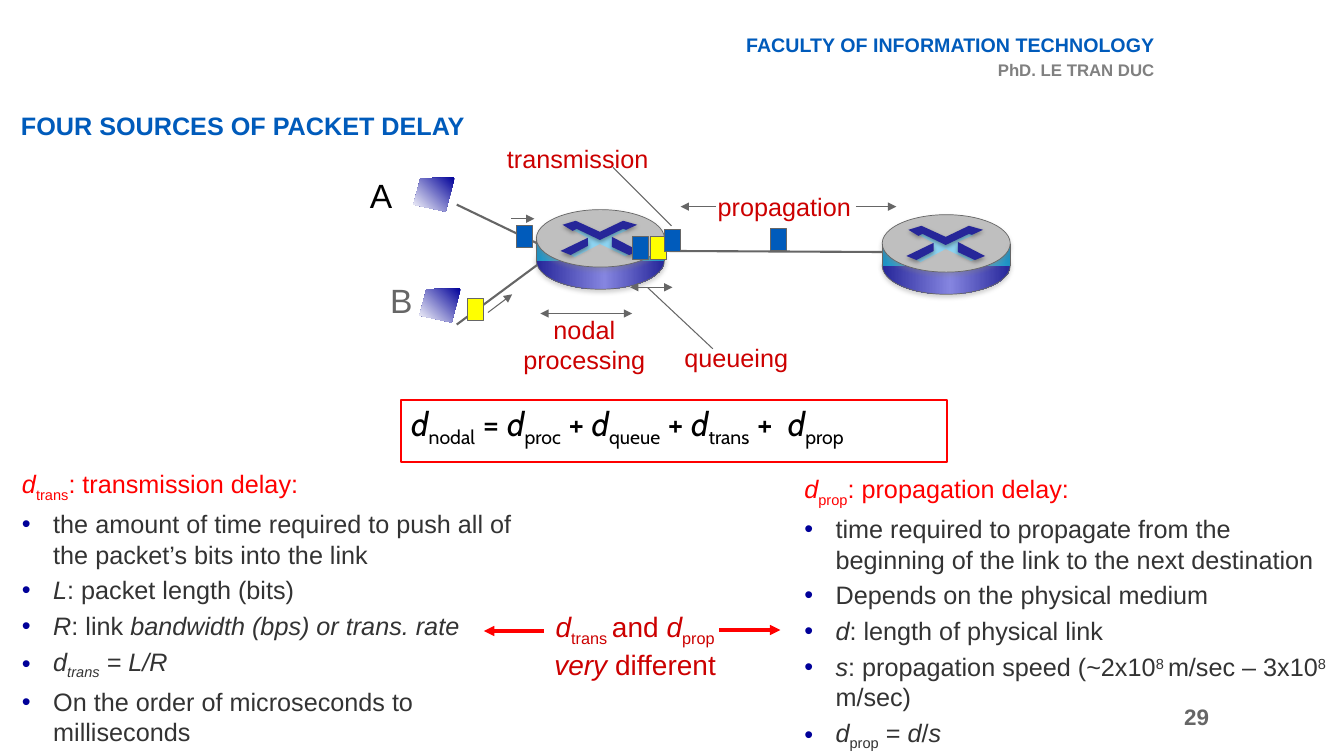
from dataclasses import dataclass

from lxml.etree import SubElement
from pptx import Presentation
from pptx.dml.color import RGBColor
from pptx.enum.shapes import MSO_CONNECTOR, MSO_SHAPE as Shape
from pptx.enum.text import MSO_ANCHOR as Anchor, MSO_AUTO_SIZE as Auto, PP_ALIGN as Align
from pptx.oxml.ns import qn
from pptx.util import Pt

PX = 9144  # EMU in one px: 100 px to the inch


@dataclass(frozen=True)
class Theme:
    font: str = "Arial"
    formula_font: str = "Cabin"
    blue: str = "005BBB"
    grey: str = "666666"
    subtitle: str = "808080"
    black: str = "000000"
    text: str = "333333"
    caption: str = "CC0000"
    red: str = "FF0000"
    yellow: str = "FFFF00"
    bullet: str = "000099"
    white: str = "FFFFFF"
    top: str = "BFBFBF"
    navy: str = "262699"
    lilac: str = "8585E0"
    teal: str = "1A92C4"
    sky: str = "8DD3F0"
    small: int = 12
    header: int = 14
    number: int = 16
    body: int = 18
    compare: int = 20
    large: int = 24


T = Theme()


@dataclass(frozen=True)
class Run:
    text: str
    italic: bool = False
    base: int = 0


@dataclass(frozen=True)
class Label:
    text: str
    box: tuple[int, int, int, int]
    color: str = T.caption
    size: int = T.body
    align: Align = Align.LEFT
    bold: bool = False
    wrap: bool = False


@dataclass(frozen=True)
class Line:
    ends: tuple[int, int, int, int]
    width: float = 0.75
    color: str = T.grey
    head: bool = False
    tail: bool = False


@dataclass(frozen=True)
class Column:
    box: tuple[int, int, int, int]
    heading: list[Run]
    items: list[list[Run]]


def it(text: str) -> Run:
    return Run(text, italic=True)


def sub(text: str, italic: bool = False) -> Run:
    return Run(text, italic, -25)


def sup(text: str) -> Run:
    return Run(text, base=30)


def emu(box: tuple) -> list[int]:
    return [v * PX for v in box]


def style(r, size: int, color: str, font: str = T.font) -> None:
    r.font.name, r.font.size = font, Pt(size)
    r.font.color.rgb = RGBColor.from_string(color)


def write(p, runs: list[Run], size: int, color: str, font: str = T.font) -> None:
    for run in runs:
        r = p.add_run()
        r.text = run.text
        style(r, size, color, font)
        r.font.italic = run.italic
        if run.base:
            r._r.get_or_add_rPr().set("baseline", str(run.base * 1000))


def add_label(s, label: Label):
    tf = s.shapes.add_textbox(*emu(label.box)).text_frame
    tf.word_wrap = label.wrap
    if not label.wrap:
        tf.auto_size = Auto.SHAPE_TO_FIT_TEXT
    tf.text = label.text
    for p in tf.paragraphs:
        p.alignment = label.align
        for r in p.runs:
            style(r, label.size, label.color)
            r.font.bold = label.bold
    return tf


def add_line(s, line: Line, shadow: str = ""):
    c = s.shapes.add_connector(MSO_CONNECTOR.STRAIGHT, *emu(line.ends))
    c.line.color.rgb = RGBColor.from_string(line.color)
    c.line.width = Pt(line.width)
    ln = c._element.spPr.find(qn("a:ln"))
    for tag, shown in (("a:headEnd", line.head), ("a:tailEnd", line.tail)):
        if shown:
            SubElement(ln, qn(tag), type="triangle")
    add_shadow(SubElement(c._element.spPr, qn("a:effectLst")), shadow)


def add_shadow(effects, color: str) -> None:
    if color:
        outer = SubElement(effects, qn("a:outerShdw"), blurRad=str(Pt(3.1)),
                           dist=str(Pt(1.8)), dir="5400000", algn="t", rotWithShape="0")
        clr = SubElement(outer, qn("a:srgbClr"), val=color)
        SubElement(clr, qn("a:alpha"), val="35000")


def paint(sp, fill: str = "", line: str = "", width: float = 0.75, shadow: str = "") -> None:
    """Leave out the fill or the line where no colour is given."""
    if fill:
        sp.fill.solid()
        sp.fill.fore_color.rgb = RGBColor.from_string(fill)
    else:
        sp.fill.background()
    if line:
        sp.line.color.rgb = RGBColor.from_string(line)
        sp.line.width = Pt(width)
    else:
        sp.line.fill.background()
    sp.shadow.inherit = False
    add_shadow(sp._element.spPr.find(qn("a:effectLst")), shadow)


def add_gradient(sp, stops: list[tuple[int, str]], angle: int) -> None:
    sp.fill.gradient()
    sp.fill.gradient_angle = angle
    gs_list = sp._element.spPr.find(qn("a:gradFill")).find(qn("a:gsLst"))
    for gs in list(gs_list):
        gs_list.remove(gs)
    for pos, color in stops:
        gs = SubElement(gs_list, qn("a:gs"), pos=str(pos * 1000))
        SubElement(gs, qn("a:srgbClr"), val=color)


def add_outline(s, x: int, y: int, points: list[tuple[int, int]]):
    moved = [(x + dx, y + dy) for dx, dy in points]
    fb = s.shapes.build_freeform(*moved[0], scale=PX)
    fb.add_line_segments(moved[1:], close=True)
    return fb.convert_to_shape()


GLOW = [(32, 34), (63, 34)]
UNDERLAY = [(63, 34), (38, 47), (32, 44), (51, 36), (51, 28), (36, 20), (41, 19), (63, 29),
            (85, 18), (91, 20), (75, 27), (78, 38), (94, 44), (88, 46)]
ARROWS = [
    [(26, 15), (39, 11), (63, 22), (86, 11), (100, 15), (89, 20), (86, 19), (63, 30),
     (40, 19), (36, 21)],
    [(75, 27), (102, 41), (92, 45), (75, 37)],
    [(51, 28), (51, 36), (34, 45), (24, 41)],
]


def add_router(s, x: int, y: int) -> None:
    bands = [(Shape.OVAL, 22, 57, [T.navy, T.lilac, T.navy], T.grey, T.subtitle),
             (Shape.RECTANGLE, 30, 21, [T.teal, T.sky, T.teal], "", ""),
             (Shape.OVAL, 0, 57, [], T.grey, T.subtitle)]
    for kind, dy, h, colors, line, shadow in bands:
        sp = s.shapes.add_shape(kind, *emu((x, y + dy, 127, h)))
        paint(sp, T.top, line, 0.5, shadow)
        if colors:
            add_gradient(sp, list(zip((0, 53, 100), colors)), 0)
    paint(add_outline(s, x, y, UNDERLAY), T.sky)
    for points in ARROWS:
        paint(add_outline(s, x, y, points), T.navy, shadow=T.black)
    for edge in (x, x + 127):
        add_line(s, Line((edge, y + 51, edge, y + 29), 0.5), T.subtitle)


def add_computer(s, x: int, y: int) -> None:
    sp = add_outline(s, x, y, [(41, 0), (7, 1), (0, 27), (32, 34)])
    paint(sp, T.navy)
    add_gradient(sp, [(0, T.bullet), (100, T.white)], 225)


def add_column(s, column: Column) -> None:
    tf = s.shapes.add_textbox(*emu(column.box)).text_frame
    tf.word_wrap = True
    write(tf.paragraphs[0], column.heading, T.body, T.red)
    for runs in column.items:
        p = tf.add_paragraph()
        ppr = p._p.get_or_add_pPr()
        ppr.set("marL", str(31 * PX))
        ppr.set("indent", str(-31 * PX))
        SubElement(SubElement(ppr, qn("a:buClr")), qn("a:srgbClr"), val=T.bullet)
        SubElement(ppr, qn("a:buFont"), typeface=T.font)
        SubElement(ppr, qn("a:buChar"), char="•")
        p.space_before = Pt(4)
        write(p, runs, T.body, T.text)


LINKS = [Line((453, 203, 534, 242), 1.5), Line((453, 322, 534, 262), 1.5),
         Line((664, 249, 875, 250), 1.5)]
PACKETS = [(764, 227, T.blue), (627, 235, T.blue), (645, 235, T.yellow), (659, 228, T.blue),
           (512, 224, T.blue), (464, 296, T.yellow)]
POINTERS = [
    Line((849, 205, 889, 205), tail=True), Line((710, 205, 675, 205), tail=True),
    Line((627, 311, 536, 311), head=True, tail=True),
    Line((667, 285, 625, 285), head=True, tail=True),
    Line((507, 217, 530, 217), tail=True), Line((484, 310, 508, 292), tail=True),
    Line((707, 346, 642, 285)), Line((608, 166, 666, 224)),
    Line((480, 626, 540, 626), 2.5, T.red, head=True),
    Line((774, 625, 713, 625), 2.5, T.red, head=True),
]
LABELS = [
    Label("FOUR SOURCES OF PACKET DELAY", (11, 104, 760, 41), T.blue, bold=True, wrap=True),
    Label("propagation", (702, 185, 152, 40)),
    Label("nodal\nprocessing", (509, 307, 141, 70), align=Align.CENTER),
    Label("queueing", (669, 335, 123, 40)),
    Label("transmission", (493, 137, 160, 40)),
    Label("A", (357, 169, 44, 50), T.black, T.large),
    Label("B", (377, 273, 42, 50), T.grey, T.large),
]
HEADER = Label("FACULTY OF INFORMATION TECHNOLOGY\nPhD. LE TRAN DUC", (703, 28, 452, 57),
               T.blue, T.header, Align.RIGHT, bold=True, wrap=True)
NUMBER = Label("29", (759, 691, 450, 40), T.grey, T.number, Align.RIGHT, bold=True, wrap=True)
FORMULA = [it("d"), sub("nodal"), Run(" = "), it("d"), sub("proc"), Run(" + "), it("d"),
           sub("queue"), Run(" + "), it("d"), sub("trans"), Run(" +  "), it("d"), sub("prop")]
COMPARISON = [[it("d"), sub("trans "), Run("and "), it("d"), sub("prop")],
              [it("very "), Run("different")]]
COLUMNS = [
    Column((12, 460, 517, 286), [it("d"), sub("trans"), Run(": transmission delay:")], [
        [Run("the amount of time required to push all of the packet’s bits into the link")],
        [it("L"), Run(": packet length (bits)")],
        [it("R"), Run(": link "), it("bandwidth (bps) or trans. rate")],
        [it("d"), sub("trans", italic=True), it(" = L/R")],
        [Run("On the order of microseconds to milliseconds")]]),
    Column((788, 465, 544, 282), [it("d"), sub("prop"), Run(": propagation delay:")], [
        [Run("time required to propagate from the beginning of the link to the next destination")],
        [Run("Depends on the physical medium")],
        [it("d"), Run(": length of physical link")],
        [it("s"), Run(": propagation speed (~2x10"), sup("8 "), Run("m/sec – 3x10"), sup("8 "),
         Run("m/sec)")],
        [it("d"), sub("prop"), Run(" = "), it("d"), Run("/"), it("s")]]),
]


def add_network(s) -> None:
    for link in LINKS:
        add_line(s, link)
    for x, y in ((532, 208), (875, 213)):
        add_router(s, x, y)
    for x, y in ((410, 176), (416, 286)):
        add_computer(s, x, y)
    for x, y, color in PACKETS:
        paint(s.shapes.add_shape(Shape.RECTANGLE, *emu((x, y, 16, 22))), color, T.grey)


def add_formula(s) -> None:
    sp = s.shapes.add_shape(Shape.RECTANGLE, *emu((398, 397, 541, 61)))
    paint(sp, line=T.red, width=1.5)
    sp.text_frame.vertical_anchor = Anchor.TOP
    p = sp.text_frame.paragraphs[0]
    p.alignment, p.line_spacing = Align.LEFT, 0.85
    write(p, FORMULA, T.large, T.black, T.formula_font)


def add_comparison(s) -> None:
    tf = s.shapes.add_textbox(*emu((515, 600, 230, 77))).text_frame
    tf.word_wrap = True
    for i, runs in enumerate(COMPARISON):
        p = tf.add_paragraph() if i else tf.paragraphs[0]
        p.alignment = Align.CENTER
        write(p, runs, T.compare, T.caption)


def main() -> None:
    prs = Presentation()
    prs.slide_width, prs.slide_height = emu((1333, 750))
    s = prs.slides.add_slide(prs.slide_layouts[6])
    add_label(s, NUMBER).vertical_anchor = Anchor.MIDDLE
    faculty, lecturer = add_label(s, HEADER).paragraphs
    faculty.space_after = lecturer.space_before = Pt(1)
    style(lecturer.runs[0], T.small, T.subtitle)
    add_network(s)
    for label in LABELS:
        add_label(s, label)
    for pointer in POINTERS:
        add_line(s, pointer)
    add_formula(s)
    for column in COLUMNS:
        add_column(s, column)
    add_comparison(s)
    prs.save("out.pptx")


if __name__ == "__main__":
    main()
